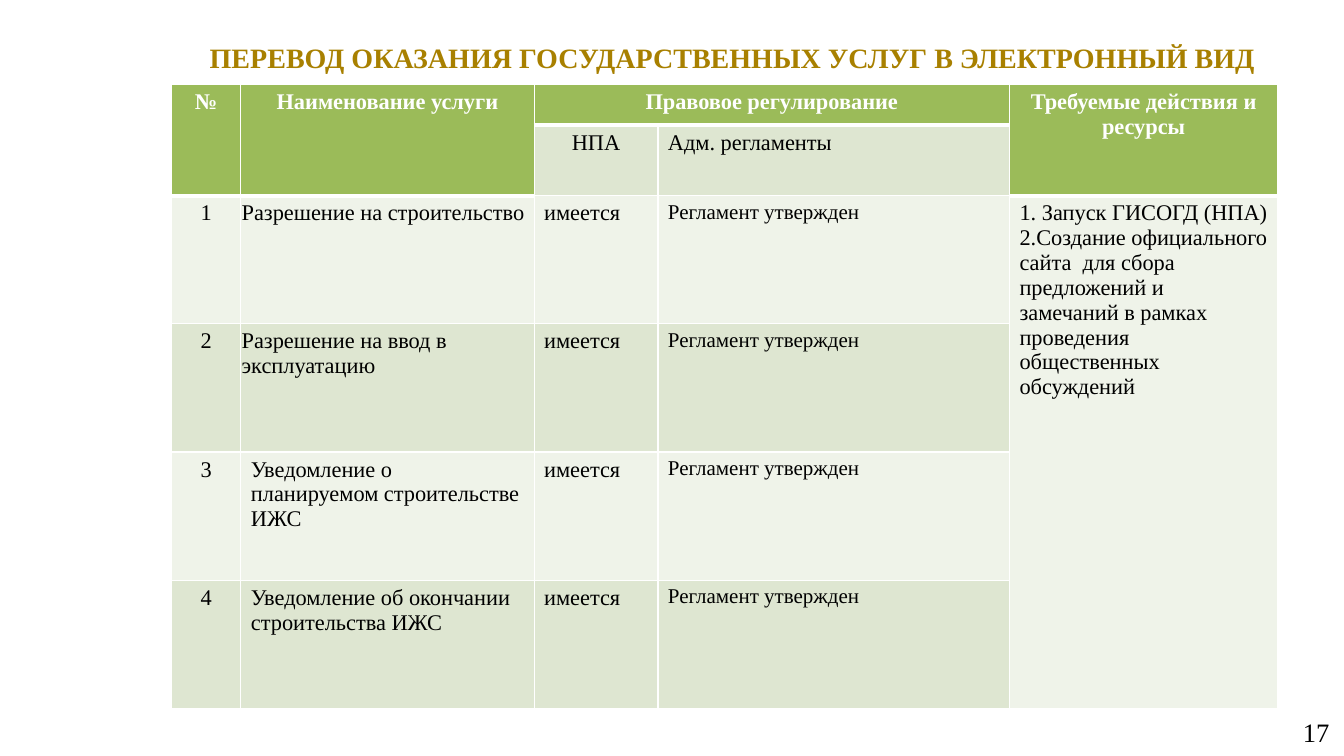
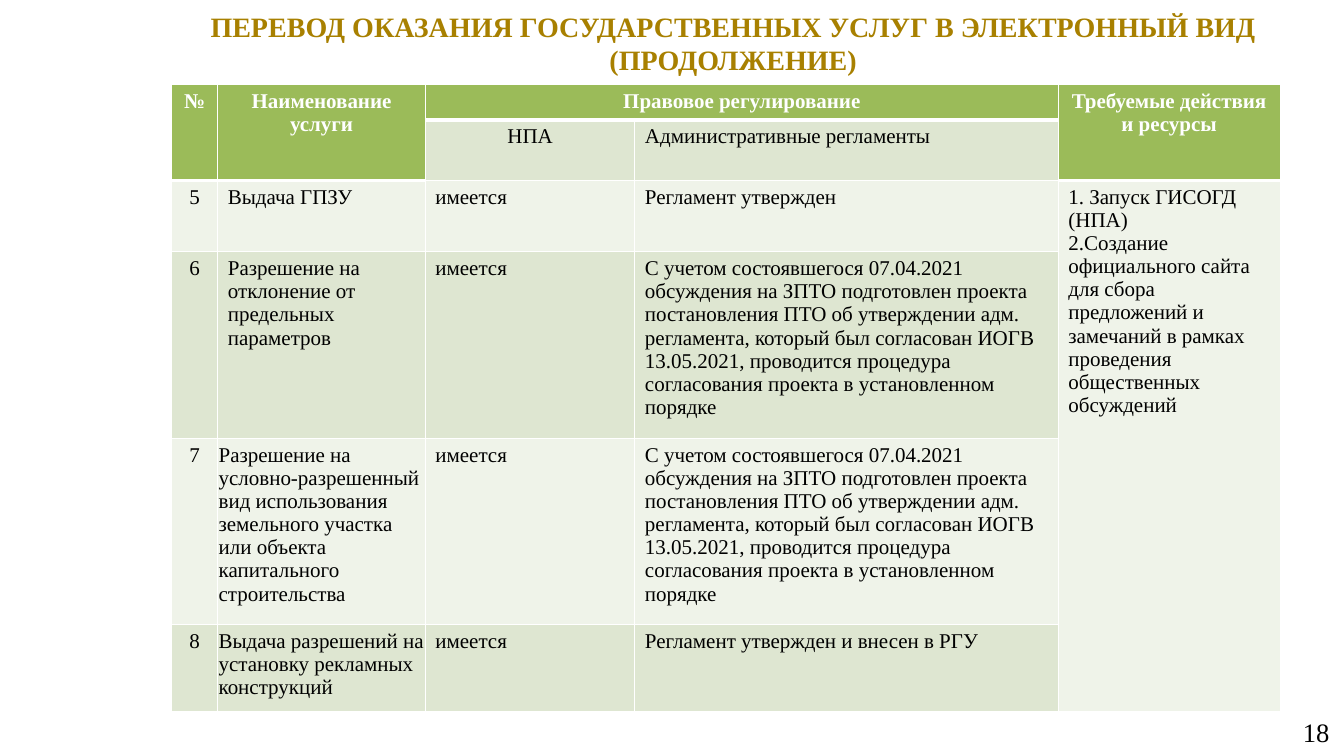
from lxml.etree import SubElement
from pptx import Presentation
from pptx.dml.color import RGBColor
from pptx.enum.text import MSO_ANCHOR, PP_ALIGN
from pptx.oxml.ns import qn
from pptx.util import Cm, Pt

HUES = {"gold": "A88000", "head": "9BBB59", "dark": "DEE6D1",
        "light": "EFF3E9", "white": "FFFFFF", "black": "000000"}
FACE = "Times New Roman"
LEFT, MID, RIGHT = PP_ALIGN.LEFT, PP_ALIGN.CENTER, PP_ALIGN.RIGHT
THIN, THICK = Pt(1), Pt(3)
TALL = (0, 1, 4)  # columns whose header and body cells span rows

TITLE = "ПЕРЕВОД ОКАЗАНИЯ ГОСУДАРСТВЕННЫХ УСЛУГ В ЭЛЕКТРОННЫЙ ВИД"
HEADS = ["№", "Наименование услуги", "Правовое регулирование", "",
         "Требуемые действия и ресурсы"]
TASKS = ("1. Запуск ГИСОГД (НПА)\n"
         "2.Создание официального сайта  для сбора предложений и замечаний "
         "в рамках проведения общественных обсуждений")
DONE = "Регламент утвержден"
DRAFT = ("С учетом состоявшегося 07.04.2021 обсуждения на ЗПТО подготовлен "
         "проекта постановления ПТО об утверждении адм. регламента, который "
         "был согласован ИОГВ  13.05.2021, проводится процедура согласования "
         "проекта в установленном порядке")

PAGES = [
    {"page": 17, "title": TITLE, "left": 3.94, "top": 0.2, "size": 16,
     "rules": "Адм. регламенты", "first": 1, "flush": (1, 2),
     "cols": [1.75, 7.39, 3.12, 8.86, 6.76],
     "rows": [1.02, 1.78] + [3.23] * 4,
     "items": [("Разрешение на строительство", DONE),
               ("Разрешение на ввод в эксплуатацию", DONE),
               ("Уведомление о планируемом строительстве ИЖС", DONE),
               ("Уведомление об окончании строительства ИЖС", DONE)]},
    {"page": 18, "title": TITLE + " (ПРОДОЛЖЕНИЕ)", "left": 3.96,
     "top": -0.18, "size": 15,
     "rules": "Административные регламенты", "first": 5, "flush": (7, 8),
     "cols": [1.17, 5.23, 5.28, 10.67, 5.59],
     "rows": [0.89, 1.42, 1.8, 4.34, 4.34, 2.18],
     "items": [("Выдача ГПЗУ", DONE),
               ("Разрешение на отклонение от предельных параметров", DRAFT),
               ("Разрешение на условно-разрешенный вид использования "
                "земельного участка или объекта капитального строительства",
                DRAFT),
               ("Выдача разрешений на установку рекламных конструкций",
                DONE + " и внесен в РГУ")]},
]


def write(frame, text, size=16, hue="black", bold=False, align=LEFT):
    """Fill a text frame, one paragraph per line of text."""
    frame.word_wrap = True
    frame.text = text
    for para in frame.paragraphs:
        para.alignment = align
        for run in para.runs:
            font = run.font
            font.name, font.size, font.bold = FACE, Pt(size), bold
            font.color.rgb = RGBColor.from_string(HUES[hue])


def paint(cell, hue, top, bottom):
    """Give a cell white borders and a solid fill."""
    props = cell._tc.get_or_add_tcPr()
    for side, width in zip("LRTB", (THIN, THIN, top, bottom)):
        line = SubElement(props, qn(f"a:ln{side}"), w=str(width))
        solid = SubElement(line, qn("a:solidFill"))
        SubElement(solid, qn("a:srgbClr"), val=HUES["white"])
    cell.fill.solid()
    cell.fill.fore_color.rgb = RGBColor.from_string(HUES[hue])


deck = Presentation()
deck.slide_width, deck.slide_height = Cm(33.87), Cm(19.05)

for page in PAGES:
    slide = deck.slides.add_slide(deck.slide_layouts[6])
    labels = [
        ((25.96, 17.96, 7.87, 0.99), str(page["page"]),
         {"size": 19, "align": RIGHT}),
        ((page["left"], page["top"], 29.03, 2.51), page["title"],
         {"size": 20, "hue": "gold", "bold": True, "align": MID}),
    ]
    for place, text, style in labels:
        frame = slide.shapes.add_textbox(*map(Cm, place)).text_frame
        frame.margin_left = frame.margin_right = Cm(0.33)
        frame.margin_top = frame.margin_bottom = Cm(0.18)
        frame.vertical_anchor = MSO_ANCHOR.MIDDLE
        write(frame, text, **style)

    cols, rows = page["cols"], page["rows"]
    grid = slide.shapes.add_table(
        len(rows), len(cols), Cm(4.32), Cm(2.13),
        Cm(sum(cols)), Cm(sum(rows))).table
    for col, width in zip(grid.columns, cols):
        col.width = Cm(width)
    for row, height in zip(grid.rows, rows):
        row.height = Cm(height)

    first = page["first"]
    texts = [HEADS, ["", "", "НПА", page["rules"], ""]]
    for num, (name, state) in enumerate(page["items"], first):
        texts.append([str(num), name, "имеется", state,
                      TASKS if num == first else ""])

    for r, line in enumerate(texts):
        for c, text in enumerate(line):
            cell = grid.cell(r, c)
            head = r == 0 or (r == 1 and c in TALL)
            if head:
                hue = "head"
            elif c == 4 or r % 2 == 0:
                hue = "light"
            else:
                hue = "dark"
            under = r == (2 if c in TALL else 1)
            paint(cell, hue, THICK if under else THIN,
                  THICK if head else THIN)
            if c == 1 and r > 1 and first + r - 2 in page["flush"]:
                cell.margin_left = cell.margin_right = Cm(0.02)
            if text:
                center = head or c == 0 or (r == 1 and c == 2)
                write(cell.text_frame, text,
                      size=15 if r > 1 and c == 3 else page["size"],
                      hue="white" if head else "black", bold=head,
                      align=MID if center else LEFT)

    for c in TALL:
        grid.cell(0, c).merge(grid.cell(1, c))
    grid.cell(0, 2).merge(grid.cell(0, 3))
    grid.cell(2, 4).merge(grid.cell(5, 4))

deck.save("out.pptx")
